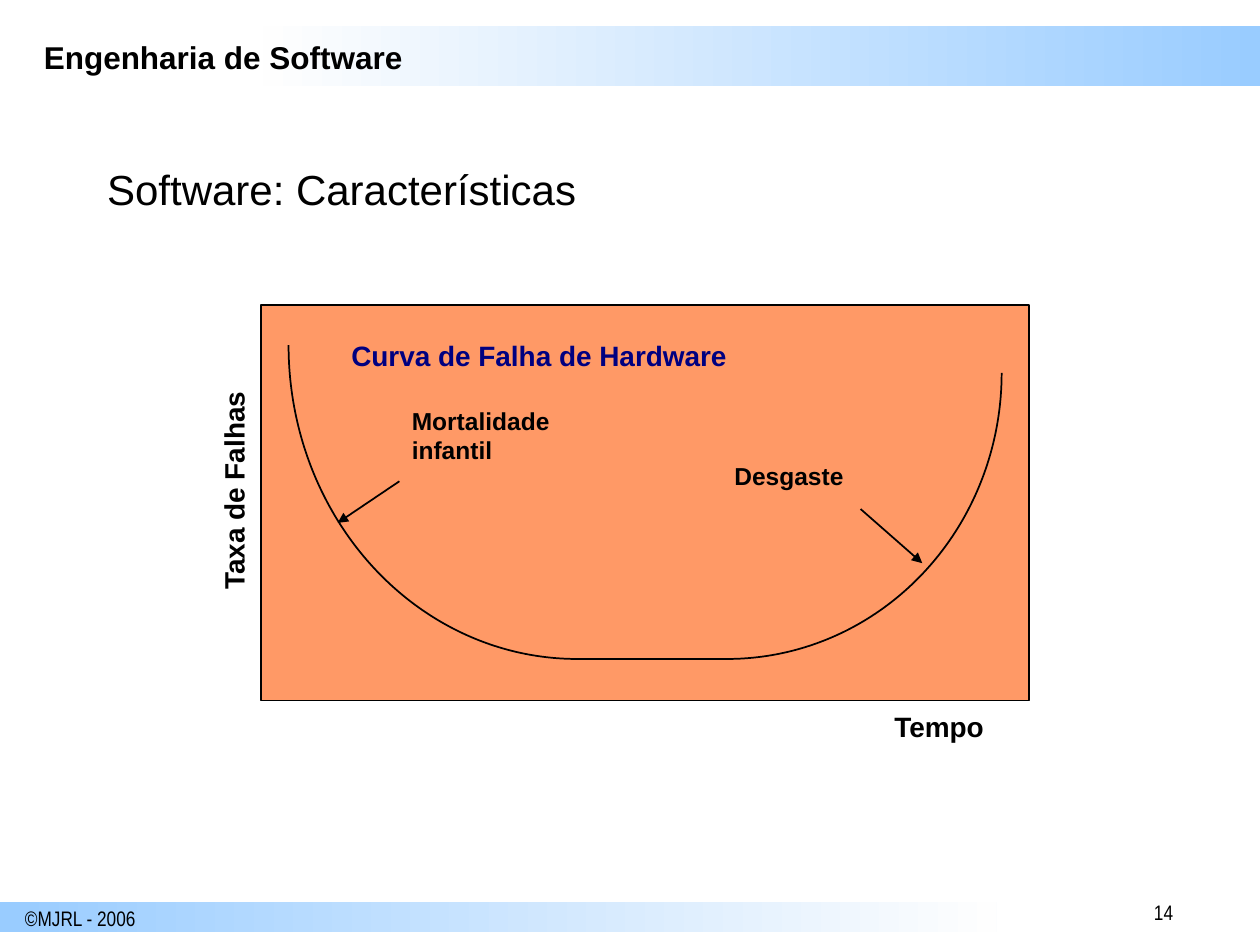
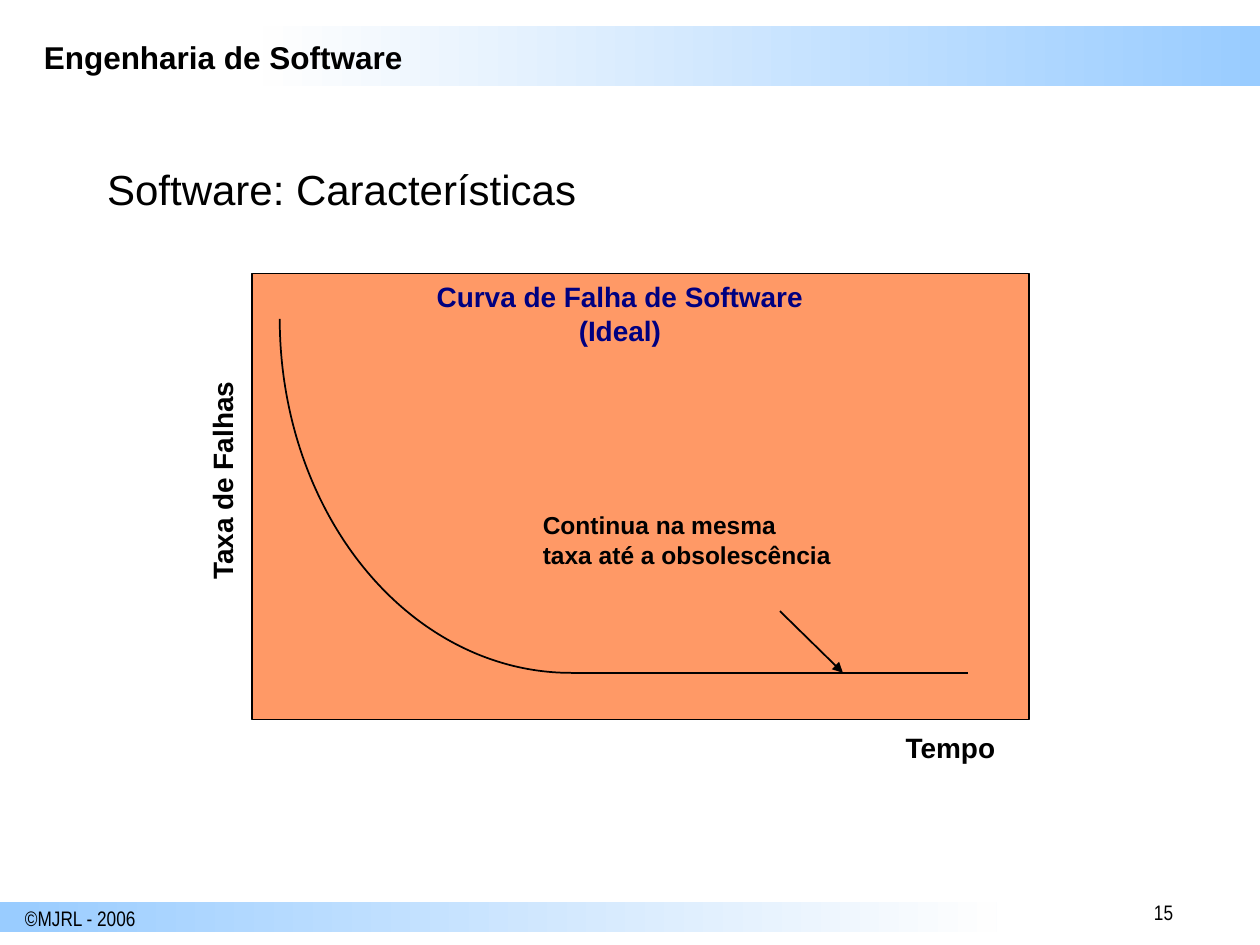
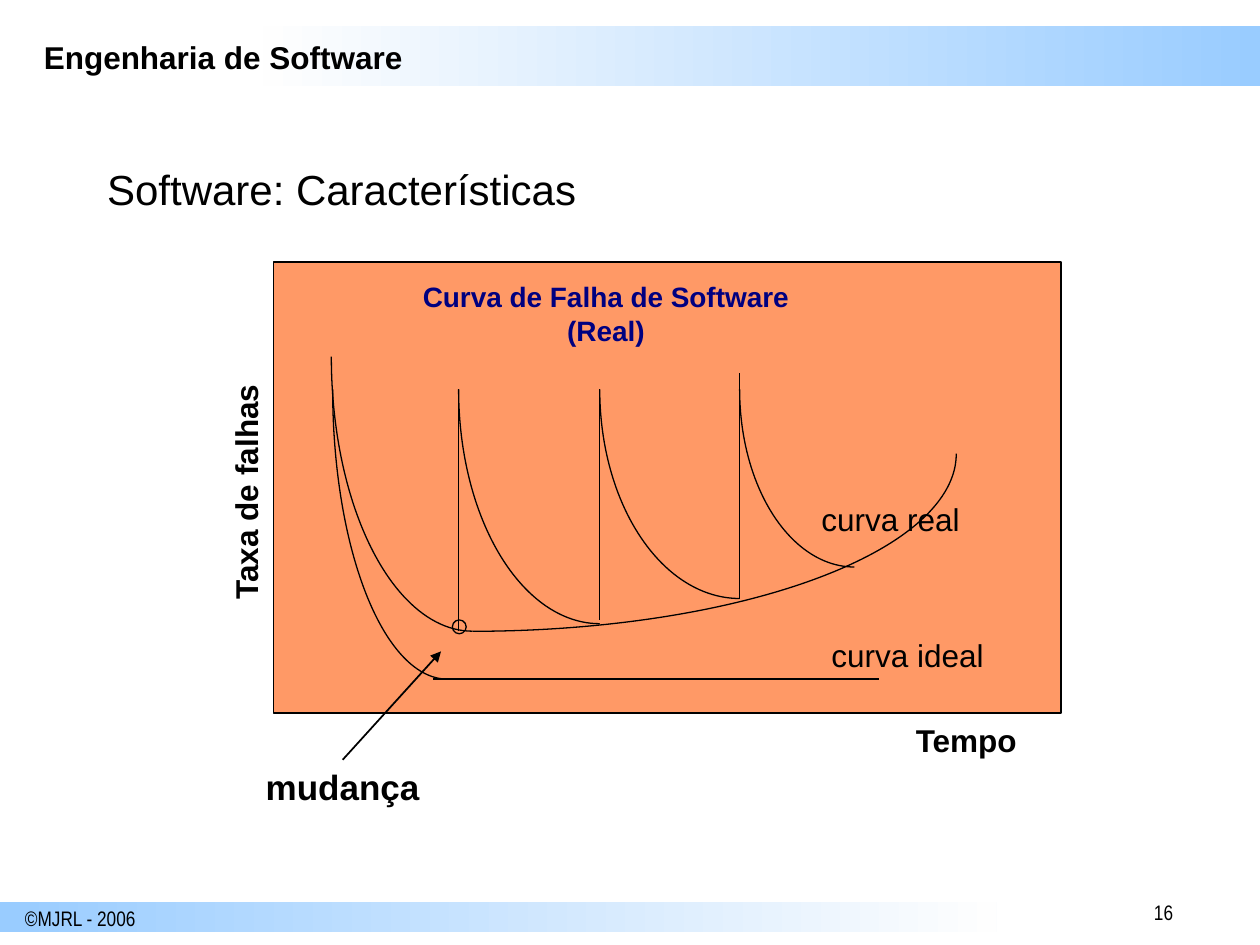
from lxml.etree import SubElement
from pptx import Presentation
from pptx.dml.color import RGBColor
from pptx.enum.shapes import MSO_CONNECTOR, MSO_SHAPE
from pptx.enum.text import MSO_ANCHOR, MSO_AUTO_SIZE, PP_ALIGN
from pptx.oxml.ns import qn
from pptx.util import Inches, Pt

# Slide grid: 100 columns by 75 rows of square cells
COLUMNS, ROWS = 100, 75
CELL = Inches(0.1)

BLACK, NAVY, ORANGE = "000000", "000080", "FF9966"
PALE, BLUE = "FEFEFE", "99CCFF"

# Text formats
HEADER = {"name": "Arial", "size": Pt(18), "bold": True}
FOOTER = {"name": "Arial Narrow", "size": Pt(12), "bold": False}
TITLE = {"name": "Arial", "size": Pt(24), "bold": False}
AXIS = {"name": "Arial", "size": Pt(16), "bold": True}
NOTE = {"name": "Arial", "size": Pt(14), "bold": True}
CURVE_NAME = {"name": "Arial", "size": Pt(18), "bold": False}
CHANGE = {"name": "Arial", "size": Pt(20), "bold": True}

# Arc angles: python-pptx stores 60000ths of a degree divided by 100000
RIGHT, BOTTOM, LEFT = 0, 54, 108


def cells(*values):
    return [round(value * CELL) for value in values]


def colour(value):
    return RGBColor.from_string(value)


def style_text(text_frame, text, font_format, font_colour=BLACK, align=PP_ALIGN.LEFT):
    text_frame.text = text
    text_frame.word_wrap = True
    text_frame.auto_size = MSO_AUTO_SIZE.NONE
    for paragraph in text_frame.paragraphs:
        paragraph.alignment = align
        for name, value in font_format.items():
            setattr(paragraph.font, name, value)
        paragraph.font.color.rgb = colour(font_colour)


def add_label(slide, box, text, font_format, font_colour=BLACK, align=PP_ALIGN.LEFT):
    label = slide.shapes.add_textbox(*cells(*box))
    style_text(label.text_frame, text, font_format, font_colour, align)
    return label


def add_vertical_label(slide, box, text, font_format):
    label = add_label(slide, box, text, font_format, align=PP_ALIGN.CENTER)
    label.rotation = 270


def add_chart_title(slide, box, text):
    add_label(slide, box, text, AXIS, NAVY, PP_ALIGN.CENTER)


def style_line(line, width):
    line.color.rgb = colour(BLACK)
    line.width = Pt(width)


def add_outline(slide, kind, box, width):
    """Add an unfilled preset shape with a black line."""
    shape = slide.shapes.add_shape(kind, *cells(*box))
    shape.shadow.inherit = False
    shape.fill.background()
    style_line(shape.line, width)
    return shape


def add_panel(slide, box):
    panel = add_outline(slide, MSO_SHAPE.RECTANGLE, box, 1)
    panel.fill.solid()
    panel.fill.fore_color.rgb = colour(ORANGE)


def add_band(slide, box, start, end):
    band = slide.shapes.add_shape(MSO_SHAPE.RECTANGLE, *cells(*box))
    band.shadow.inherit = False
    band.line.fill.background()
    band.fill.gradient()
    band.fill.gradient_angle = 0
    for stop, stop_colour in zip(band.fill.gradient_stops, (start, end)):
        stop.color.rgb = colour(stop_colour)


def add_curve(slide, low, high, width=1):
    """Add a quarter ellipse from its lowest point up to its side point."""
    (low_x, low_y), (high_x, high_y) = low, high
    radius_x, radius_y = abs(low_x - high_x), low_y - high_y
    box = low_x - radius_x, high_y - radius_y, 2 * radius_x, 2 * radius_y
    curve = add_outline(slide, MSO_SHAPE.ARC, box, width)
    angles = (BOTTOM, LEFT) if high_x < low_x else (RIGHT, BOTTOM)
    for index, angle in enumerate(angles):
        curve.adjustments[index] = angle


def add_line(slide, start, end, width=1, arrow=False):
    line = slide.shapes.add_connector(MSO_CONNECTOR.STRAIGHT, *cells(*start, *end))
    style_line(line.line, width)
    properties = line._element.spPr
    if arrow:
        SubElement(properties.find(qn("a:ln")), qn("a:tailEnd"), type="triangle")
    SubElement(properties, qn("a:effectLst"))


def add_base_slide(presentation, number):
    """Add a slide with the title, bands and footer that all slides share."""
    slide = presentation.slides.add_slide(presentation.slide_layouts[5])
    add_band(slide, (20.9, 2.1, 79.1, 4.7), PALE, BLUE)
    add_label(slide, (2.5, 2.5, 48.3, 4), "Engenharia de Software", HEADER)
    add_label(slide, (90.6, 70.9, 8.2, 3), str(number), FOOTER)
    add_band(slide, (0, 71.6, 79.1, 2.4), BLUE, PALE)
    add_label(slide, (1, 71.4, 13, 3), "©MJRL - 2006", FOOTER)

    title = slide.shapes.title
    title.left, title.top, title.width, title.height = cells(7.5, 12.5, 85, 5)
    style_text(title.text_frame, "Software: Características", TITLE)
    title.text_frame.vertical_anchor = MSO_ANCHOR.BOTTOM
    return slide


def add_hardware_slide(presentation):
    slide = add_base_slide(presentation, 14)
    add_panel(slide, (20.7, 24.2, 61, 31.4))

    # Bathtub curve
    infant_end, wear_start = (45.8, 52.3), (57.7, 52.3)
    add_curve(slide, infant_end, (22.9, 27.4))
    add_curve(slide, wear_start, (79.5, 29.6))
    add_line(slide, infant_end, wear_start)

    # Labels and arrows
    add_label(slide, (70, 55.8, 11, 3.7), "Tempo", AXIS)
    add_vertical_label(slide, (8.1, 37.1, 20.9, 3.7), "Taxa de Falhas", AXIS)
    add_label(slide, (31.7, 31.7, 16, 5.7), "Mortalidade\ninfantil", NOTE)
    add_line(slide, (31.7, 38.2), (26.8, 41.5), arrow=True)
    add_label(slide, (57.3, 36.1, 13, 3.4), "Desgaste", NOTE)
    add_line(slide, (68.3, 40.4), (73.2, 44.7), arrow=True)
    add_label(slide, (26.9, 26.35, 35, 3.7), "Curva de Falha de Hardware", AXIS, NAVY)


def add_ideal_slide(presentation):
    slide = add_base_slide(presentation, 15)
    add_panel(slide, (20, 21.7, 61.7, 35.4))

    # Falling curve and steady rate
    steady_start = (45.3, 53.4)
    add_curve(slide, steady_start, (22.2, 25.3))
    add_line(slide, steady_start, (76.8, 53.4))

    # Labels and arrow
    add_label(slide, (70.9, 57.5, 11, 3.7), "Tempo", AXIS)
    add_vertical_label(slide, (7.2, 36.3, 20.9, 3.7), "Taxa de Falhas", AXIS)
    add_label(slide, (42.1, 40, 28, 5.7),
              "Continua na mesma\ntaxa até a obsolescência", NOTE)
    add_line(slide, (61.9, 48.5), (66.9, 53.4), arrow=True)
    add_chart_title(slide, (31.7, 21.7, 35, 6.4), "Curva de Falha de Software\n(Ideal)")


def add_real_slide(presentation):
    slide = add_base_slide(presentation, 16)
    add_panel(slide, (21.7, 20.8, 62.5, 35.8))
    thin = 0.75

    # Ideal curve
    add_curve(slide, (35.5, 53.9), (26.4, 30.9), thin)
    add_line(slide, (34.4, 53.9), (69.8, 53.9), thin)

    # Real curve: first fall and slow rise
    real_low = (37.5, 50.1)
    add_curve(slide, real_low, (26.3, 28.3), thin)
    add_curve(slide, real_low, (75.9, 36), thin)

    # Each change: column, foot and top of the jump, lowest point of the fall
    changes = [
        (36.4, 50.1, 30.9, (47.6, 49.5)),
        (47.6, 49.2, 30.9, (58.7, 47.5)),
        (58.7, 47.5, 29.6, (67.8, 45)),
    ]
    for column, foot, top, low in changes:
        add_line(slide, (column, foot), (column, top), thin)
        add_curve(slide, low, (column, 30.9), thin)
    add_outline(slide, MSO_SHAPE.OVAL, (35.9, 49.2, 1.1, 1.1), thin)

    # Labels and arrow
    add_chart_title(slide, (30.6, 21.7, 35, 6.4), "Curva de Falha de Software\n(Real)")
    add_vertical_label(slide, (8.8, 37.1, 21.3, 3.9), "Taxa de falhas", HEADER)
    add_label(slide, (20.1, 60.3, 15.5, 5.7), "mudança", CHANGE)
    add_label(slide, (64.2, 39.2, 15.5, 4.3), "curva real", CURVE_NAME)
    add_label(slide, (65, 50, 16, 3.7), "curva ideal", CURVE_NAME)
    add_label(slide, (71.7, 56.7, 11.7, 4.2), "Tempo", HEADER)
    add_line(slide, (27.2, 60.3), (35, 51.7), arrow=True)


def main():
    presentation = Presentation()
    presentation.slide_width, presentation.slide_height = cells(COLUMNS, ROWS)
    add_hardware_slide(presentation)
    add_ideal_slide(presentation)
    add_real_slide(presentation)
    presentation.save("out.pptx")


if __name__ == "__main__":
    main()
